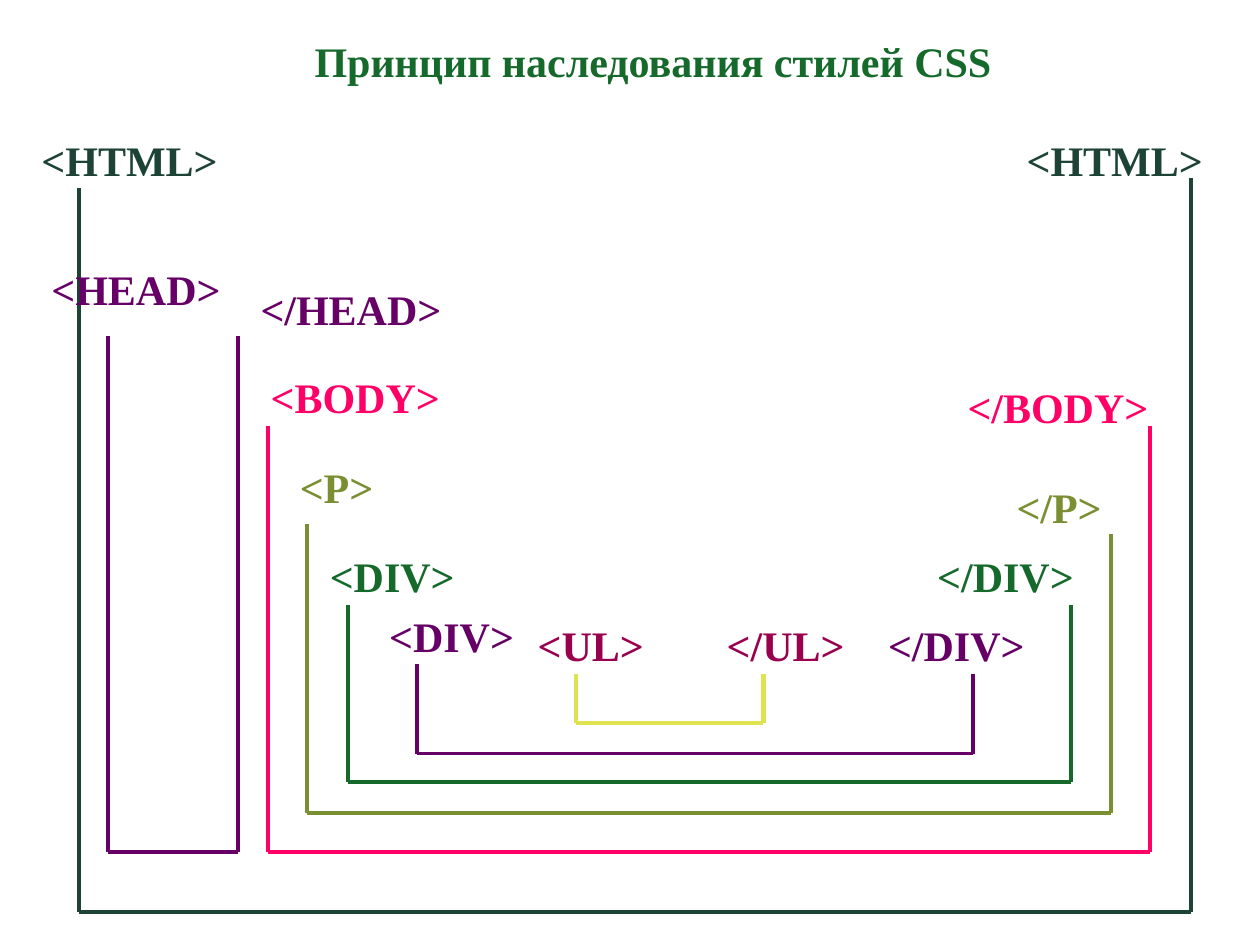
from lxml.etree import SubElement
from pptx import Presentation
from pptx.dml.color import RGBColor
from pptx.enum.shapes import MSO_CONNECTOR
from pptx.enum.text import MSO_ANCHOR, PP_ALIGN
from pptx.oxml.ns import qn
from pptx.util import Pt

COLORS = {
    "pine": "1D4337", "purple": "660066", "pink": "FF0066", "olive": "7A8E32",
    "green": "15692B", "wine": "99004D", "yellow": "DFE34F",
}
FONT = "Times New Roman"
LABEL_HEIGHT = 36

# Each element: bracket box, drop of its right top, colours, (text, left, top, width) labels.
ELEMENTS = [
    ((45.4, 107.3, 635, 414), -5.8, "pine", "pine",
     ("<HTML>", 16.6, 73.4, 135.4), ("<HTML>", 579.6, 73.4, 129.6)),
    ((61.9, 192.2, 74.2, 294.5), 0, "purple", "purple",
     ("<HEAD>", 22.3, 146.9, 118.8), ("</HEAD>", 141.8, 158.4, 128.2)),
    ((153.4, 243.4, 504, 243.3), 0, "pink", "pink",
     ("<BODY>", 147.6, 208.8, 117.4), ("</BODY>", 545.8, 214.6, 128.9)),
    ((175.7, 299.5, 459.3, 164.9), 5.8, "olive", "olive",
     ("<P>", 164.2, 259.9, 60), ("</P>", 573.8, 271.4, 78.5)),
    ((198.7, 345.6, 413.3, 101.5), 0, "green", "green",
     ("<DIV>", 181.4, 311, 100), ("</DIV>", 528.5, 311, 100.8)),
    ((238.3, 379.4, 317.5, 51.2), 5.8, "purple", "purple",
     ("<DIV>", 215.3, 345.6, 99.4), ("</DIV>", 500.4, 350.6, 100)),
    ((329, 385.2, 107.3, 28.1), 0, "yellow", "wine",
     ("<UL>", 300.2, 350.6, 87.8), ("</UL>", 408.2, 350.6, 92.2)),
]


def write(holder, text, color, align=PP_ALIGN.LEFT):
    """Fill a text holder with one bold line."""
    frame = holder.text_frame
    frame.text = text
    frame.word_wrap = True
    frame.vertical_anchor = MSO_ANCHOR.TOP
    paragraph = frame.paragraphs[0]
    paragraph.alignment = align
    font = paragraph.runs[0].font
    font.name, font.size, font.bold = FONT, Pt(24), True
    font.color.rgb = RGBColor.from_string(COLORS[color])


def add_heading(slide, box, text):
    """Place the slide title in its box."""
    title = slide.shapes.title
    title.left, title.top, title.width, title.height = map(Pt, box)
    write(title, text, "green", PP_ALIGN.CENTER)


def add_bracket(slide, box, right_drop, color):
    """Draw the left, bottom and right sides of the box."""
    left, top, width, height = box
    right, bottom = left + width, top + height
    corners = [(left, top), (left, bottom), (right, bottom), (right, top + right_drop)]
    for start, end in zip(corners, corners[1:]):
        side = slide.shapes.add_connector(
            MSO_CONNECTOR.STRAIGHT, *map(Pt, start + end))
        side.line.color.rgb = RGBColor.from_string(COLORS[color])
        side.line.width = Pt(2.25)
        SubElement(side._element.spPr, qn("a:effectLst"))
    if color == "yellow":
        side.line.width = Pt(3)


def add_element(slide, box, right_drop, bracket_color, tag_color, *tags):
    """Draw one markup element: its bracket with opening and closing tags."""
    add_bracket(slide, box, right_drop, bracket_color)
    for text, left, top, width in tags:
        tag = slide.shapes.add_textbox(*map(Pt, (left, top, width, LABEL_HEIGHT)))
        write(tag, text, tag_color)


def main():
    """Build and save the inheritance slide."""
    deck = Presentation()
    deck.slide_width, deck.slide_height = Pt(720), Pt(540)
    slide = deck.slides.add_slide(deck.slide_layouts[5])
    for element in ELEMENTS:
        add_element(slide, *element)
    add_heading(slide, (163.4, 16.6, 425.5, LABEL_HEIGHT),
                "Принцип наследования стилей CSS ")
    deck.save("out.pptx")


if __name__ == "__main__":
    main()
